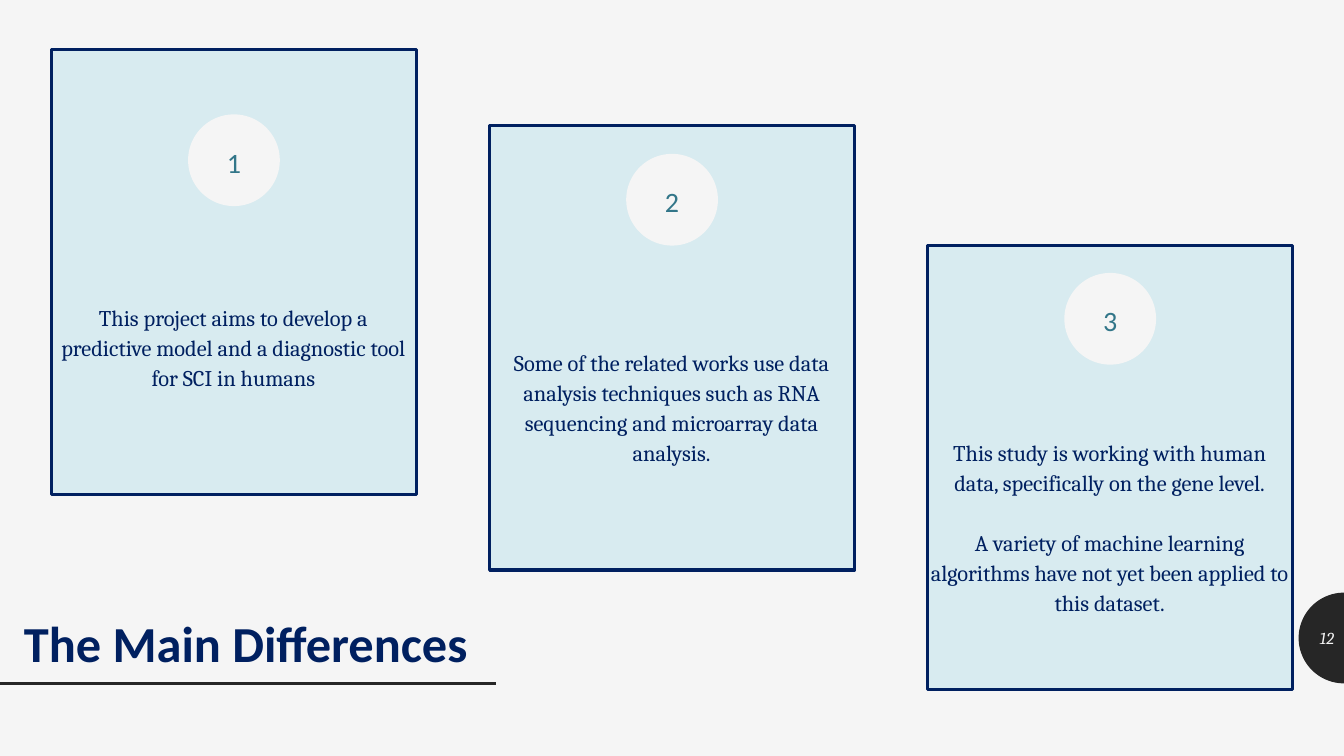
from collections import namedtuple
from math import cos, pi, sin

from lxml.etree import SubElement
from pptx import Presentation
from pptx.dml.color import RGBColor
from pptx.enum.shapes import MSO_CONNECTOR as Connector, MSO_SHAPE as Preset
from pptx.enum.text import MSO_ANCHOR as Anchor, MSO_AUTO_SIZE as AutoSize, PP_ALIGN as Align
from pptx.oxml.ns import qn
from pptx.util import Inches, Pt

Box = namedtuple("Box", "left top width height")
Card = namedtuple("Card", "top disc_gap bottom_inset paragraphs")

WIDTH, HEIGHT = Inches(13.33), Inches(7.5)
PAPER, NAVY, PALE, TEAL, INK = "F5F5F5", "002060", "D8EBF0", "327689", "262626"
CARD_LEFT, CARD_STEP, CARD_WIDTH, CARD_HEIGHT = 3.83, 32.6, 27.15, 58.8
CARDS = [
    Card(6.6, 8.53, 0, [
        "This project aims to develop a predictive model and a diagnostic tool for SCI in humans"]),
    Card(16.6, 3.75, 0.3, [
        "Some of the related works use data analysis techniques such as RNA sequencing "
        "and microarray data analysis."]),
    Card(32.43, 3.67, 0.3, [
        "This study is working with human data, specifically on the gene level.",
        "A variety of machine learning algorithms have not yet been applied to this dataset."]),
]


def color(hex_value):
    """Turn a hex string into a colour."""
    return RGBColor.from_string(hex_value)


def share(left, top, width, height):
    """Turn percentages of the slide's size into a box."""
    return Box(int(WIDTH * left / 100), int(HEIGHT * top / 100),
               int(WIDTH * width / 100), int(HEIGHT * height / 100))


def apply(target, values):
    """Set each attribute named in a dict of format values."""
    for name, value in values.items():
        setattr(target, name, value)


def paint(shape, fill, line=None):
    """Give a shape a flat fill and an optional outline."""
    shape.shadow.inherit = False
    shape.fill.solid()
    shape.fill.fore_color.rgb = color(fill)
    if line:
        shape.line.color.rgb = color(line)
        shape.line.width = Pt(2.25)
    else:
        shape.line.fill.background()


def write(shape, paragraphs, ink, frame, layout, font):
    """Fill a shape with formatted paragraphs."""
    text_frame = shape.text_frame
    text_frame.text = "\n".join(paragraphs)
    apply(text_frame, {"word_wrap": True, "auto_size": AutoSize.NONE, **frame})
    for paragraph in text_frame.paragraphs:
        apply(paragraph, layout)
        for run in paragraph.runs:
            apply(run.font, font)
            run.font.color.rgb = color(ink)


def add_card(slide, box, number, card):
    """Draw a card with its numbered disc and its text."""
    panel = slide.shapes.add_shape(Preset.RECTANGLE, *box)
    paint(panel, PALE, NAVY)
    centred = {"alignment": Align.CENTER, "line_spacing": 1.12}
    write(panel, card.paragraphs, NAVY,
          {"vertical_anchor": Anchor.MIDDLE,
           "margin_left": Inches(0.02), "margin_right": Inches(0.03),
           "margin_top": Inches(1.46), "margin_bottom": Inches(card.bottom_inset)},
          centred, {"name": "Cambria", "size": Pt(16)})
    for paragraph in panel.text_frame.paragraphs[1:]:
        paragraph.space_before = Pt(21.5)

    size = int(HEIGHT * 0.1213)
    disc = slide.shapes.add_shape(
        Preset.OVAL, box.left + (box.width - size) // 2,
        box.top + int(HEIGHT * card.disc_gap / 100), size, size)
    paint(disc, PAPER)
    write(disc, [str(number)], TEAL, {"vertical_anchor": Anchor.MIDDLE},
          centred, {"name": "Calibri", "size": Pt(20)})


def add_page_tab(slide, box, number):
    """Draw the half disc at the slide's edge with the page number."""
    radius = box.height / 2
    right, middle = box.left + box.width, box.top + radius
    angles = [pi / 2 + pi * step / 48 for step in range(49)]
    points = [(right + radius * cos(angle), middle + radius * sin(angle)) for angle in angles]
    builder = slide.shapes.build_freeform(*points[0])
    builder.add_line_segments(points[1:], close=True)
    paint(builder.convert_to_shape(), INK)

    label = slide.shapes.add_textbox(box.left, box.top + int(box.height * 0.28),
                                     box.width, int(box.height * 0.44))
    write(label, [str(number)], PAPER, {"vertical_anchor": Anchor.MIDDLE},
          {"alignment": Align.RIGHT}, {"name": "Cambria", "size": Pt(12), "italic": True})


def add_heading(slide, box, text):
    """Place the title and the rule beneath it."""
    title = slide.shapes.title
    apply(title, box._asdict())
    write(title, [text], NAVY, {"vertical_anchor": Anchor.TOP}, {"alignment": Align.LEFT},
          {"name": "Calibri", "size": Pt(36), "bold": True})

    rule = share(0, 90.4, 36.9, 0)
    line = slide.shapes.add_connector(Connector.STRAIGHT, rule.left, rule.top,
                                      rule.width, rule.top)
    line.line.color.rgb = color(INK)
    line.line.width = Pt(2)
    SubElement(line._element.spPr, qn("a:effectLst"))


def build_slide(presentation):
    """Add the slide of staggered cards."""
    slide = presentation.slides.add_slide(presentation.slide_layouts[5])
    slide.background.fill.solid()
    slide.background.fill.fore_color.rgb = color(PAPER)
    add_page_tab(slide, share(96.65, 78.4, 3.35, 12), 12)
    for index, card in enumerate(CARDS):
        box = share(CARD_LEFT + index * CARD_STEP, card.top, CARD_WIDTH, CARD_HEIGHT)
        add_card(slide, box, index + 1, card)
    add_heading(slide, share(1.03, 80.3, 54.8, 9.47), "The Main Differences")


def main():
    """Build and save the presentation."""
    presentation = Presentation()
    apply(presentation, {"slide_width": WIDTH, "slide_height": HEIGHT})
    build_slide(presentation)
    presentation.save("out.pptx")


if __name__ == "__main__":
    main()
